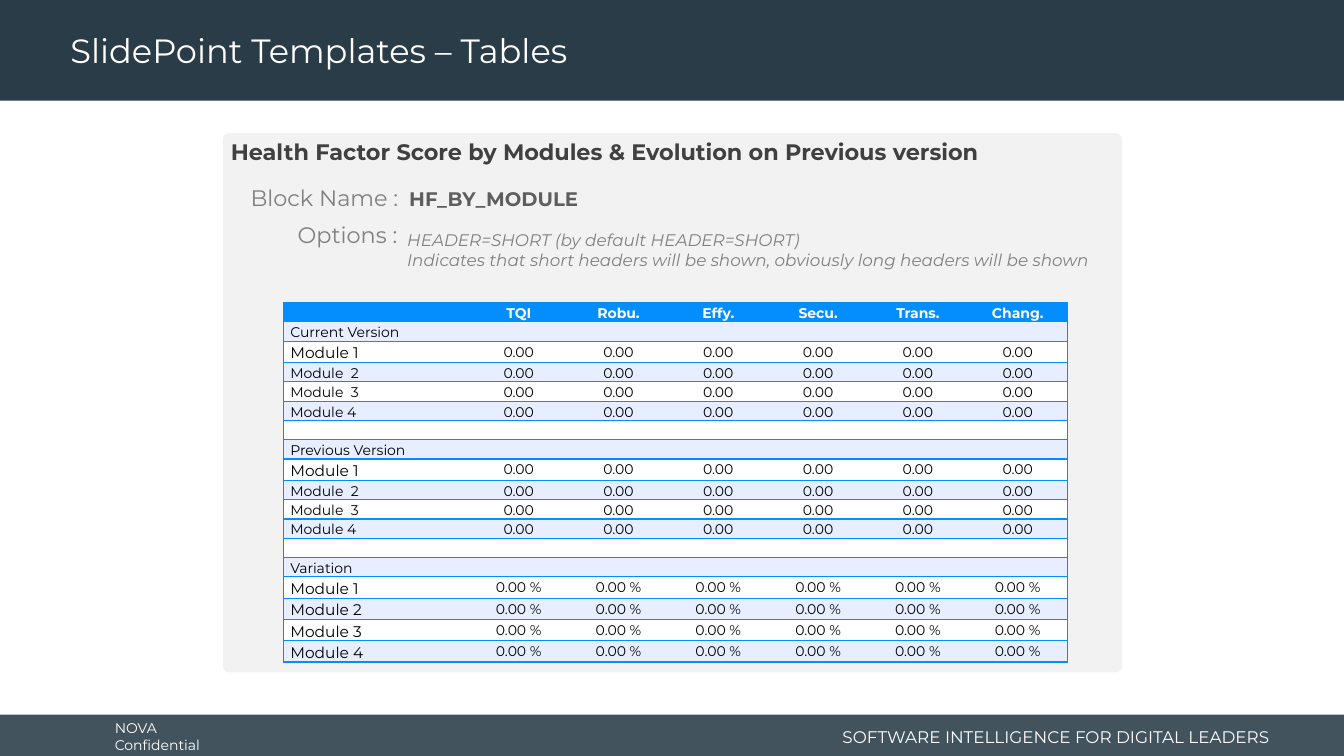
from dataclasses import dataclass

from lxml import etree
from pptx import Presentation
from pptx import util as u
from pptx.dml import color
from pptx.enum import shapes, text
from pptx.oxml import ns

FONT = "Montserrat"
HEX = {
    "navy": "293C47", "white": "FFFFFF", "panel": "F2F2F2", "head": "404040",
    "name": "5E5E5E", "grey": "808080", "blue": "048EFD", "pale": "E7EEFF",
    "black": "000000",
}
LEFT, MID, RIGHT = text.PP_ALIGN.LEFT, text.PP_ALIGN.CENTER, text.PP_ALIGN.RIGHT
TOP, HALF = text.MSO_ANCHOR.TOP, text.MSO_ANCHOR.MIDDLE


@dataclass
class Bar:
    box: tuple[float, float, float, float]
    fill: str
    kind: shapes.MSO_SHAPE = shapes.MSO_SHAPE.RECTANGLE
    alpha: int = 100


@dataclass
class Note:
    box: tuple[float, float, float, float]
    lines: list[str]
    size: int
    tint: str
    align: text.PP_ALIGN = LEFT
    anchor: text.MSO_ANCHOR = TOP
    bold: bool = False
    slant: bool = False
    wrap: bool = True
    inset: float = 0.1
    space: float = 1.0


@dataclass
class Row:
    label: str = ""
    value: str = ""
    size: int = 10


BARS = [
    Bar((0, 7.09, 13.33, 0.41), "navy", alpha=88),
    Bar((0, 0, 13.33, 1), "navy"),
    Bar((2.21, 1.32, 8.92, 5.35), "panel", shapes.MSO_SHAPE.ROUNDED_RECTANGLE),
]
NOTES = [
    Note((1.04, 7.11, 1.48, 0.4), ["NOVA Confidential"], 10, "white",
         anchor=HALF, wrap=False),
    Note((8.11, 7.15, 4.58, 0.32), ["SOFTWARE INTELLIGENCE FOR DIGITAL LEADERS"],
         12, "white", RIGHT, HALF),
    Note((0.6, 0.04, 9.58, 0.96), ["SlidePoint Templates – Tables"], 24, "white",
         anchor=HALF, space=0.9),
    Note((2.09, 1.32, 9.3, 0.37),
         ["Health Factor Score by Modules & Evolution on Previous version"],
         16, "head", bold=True, inset=0.2),
    Note((3.96, 1.81, 7.25, 0.34), ["HF_BY_MODULE"], 14, "name", bold=True),
    Note((2.38, 1.78, 1.67, 0.37), ["Block Name :"], 16, "grey", RIGHT, wrap=False),
    Note((3.94, 2.23, 7.32, 0.5),
         ["HEADER=SHORT (by default HEADER=SHORT)",
          "Indicates that short headers will be shown, "
          "obviously long headers will be shown"],
         12, "grey", slant=True),
    Note((2.83, 2.14, 1.21, 0.37), ["Options :"], 16, "grey", RIGHT, wrap=False),
]

# Table content: two score sections alike, then the variation section
HEADS = ["", "TQI", "Robu.", "Effy.", "Secu.", "Trans.", "Chang."]
SCORES = [Row("Module 1", "0.00", 11), Row("Module  2", "0.00"),
          Row("Module  3", "0.00"), Row("Module 4", "0.00")]
SHIFTS = [Row(f"Module {n}", "0.00 %", 11) for n in range(1, 5)]
ROWS = [Row("Current Version"), *SCORES, Row(size=11),
        Row("Previous Version"), *SCORES, Row(size=11),
        Row("Variation"), *SHIFTS]


def rgb(name: str) -> color.RGBColor:
    return color.RGBColor.from_string(HEX[name])


def style(par, size: int, tint: str, bold: bool = False, slant: bool = False) -> None:
    font = par.font
    font.name, font.size = FONT, u.Pt(size)
    font.bold, font.italic = bold, slant
    font.color.rgb = rgb(tint)


def draw_bar(slide, bar: Bar) -> None:
    shape = slide.shapes.add_shape(bar.kind, *map(u.Inches, bar.box))
    shape.shadow.inherit = False
    shape.fill.solid()
    shape.fill.fore_color.rgb = rgb(bar.fill)
    shape.line.fill.background()
    if bar.kind == shapes.MSO_SHAPE.ROUNDED_RECTANGLE:
        shape.adjustments[0] = 0.012
    if bar.alpha < 100:
        tone = shape.fill._xPr.find(".//" + ns.qn("a:srgbClr"))
        etree.SubElement(tone, ns.qn("a:alpha"), val=str(bar.alpha * 1000))


def draw_note(slide, note: Note) -> None:
    frame = slide.shapes.add_textbox(*map(u.Inches, note.box)).text_frame
    frame.word_wrap = note.wrap
    frame.vertical_anchor = note.anchor
    frame.margin_left = frame.margin_right = u.Inches(note.inset)
    frame.text = "\n".join(note.lines)
    for par in frame.paragraphs:
        par.alignment, par.line_spacing = note.align, note.space
        style(par, note.size, note.tint, note.bold, note.slant)


def edge(cell, sides: str) -> None:
    """Rule the named sides of a cell and clear the others."""
    props = cell._tc.get_or_add_tcPr()
    for spot, side in enumerate("LRTB"):
        line = etree.Element(ns.qn(f"a:ln{side}"), w=str(u.Pt(1)))
        if side in sides:
            fill = etree.SubElement(line, ns.qn("a:solidFill"))
            etree.SubElement(fill, ns.qn("a:srgbClr"), val=HEX["blue"])
        else:
            etree.SubElement(line, ns.qn("a:noFill"))
        props.insert(spot, line)


def fill_cell(cell, words: str, size: int, tint: str, back: str,
              align: text.PP_ALIGN, bold: bool, sides: str) -> None:
    cell.margin_left = cell.margin_right = u.Inches(0.07)
    cell.margin_top = cell.margin_bottom = 0
    cell.text = words
    par = cell.text_frame.paragraphs[0]
    par.alignment, par.line_spacing = align, 1.15
    style(par, size, tint, bold)
    cell.fill.solid()
    cell.fill.fore_color.rgb = rgb(back)
    edge(cell, sides)


def draw_table(slide) -> None:
    last = len(HEADS) - 1
    box = map(u.Inches, (2.81, 3, 7.79, 3.42))
    table = slide.shapes.add_table(len(ROWS) + 1, len(HEADS), *box).table
    table.horz_banding = False
    for c, col in enumerate(table.columns):
        col.width = u.Inches(0.99 if c else 1.84)
    for r, line in enumerate(table.rows):
        line.height = u.Inches(0.19)
        for c, cell in enumerate(line.cells):
            sides = "TB" + ("L" if c == 0 else "R" if c == last else "")
            align = MID if c else LEFT
            if r == 0:
                fill_cell(cell, HEADS[c], 10, "white", "blue", align, True, sides)
                continue
            row = ROWS[r - 1]
            words = row.value if c else row.label
            size = 10 if c else row.size
            back = "pale" if r % 2 else "white"
            fill_cell(cell, words, size, "black", back, align, False, sides)


def main() -> None:
    deck = Presentation()
    deck.slide_width, deck.slide_height = u.Inches(13.33), u.Inches(7.5)
    slide = deck.slides.add_slide(deck.slide_layouts[6])
    # Bands and panel
    for bar in BARS:
        draw_bar(slide, bar)
    # Titles and labels
    for note in NOTES:
        draw_note(slide, note)
    # Scores
    draw_table(slide)
    deck.save("out.pptx")


if __name__ == "__main__":
    main()
